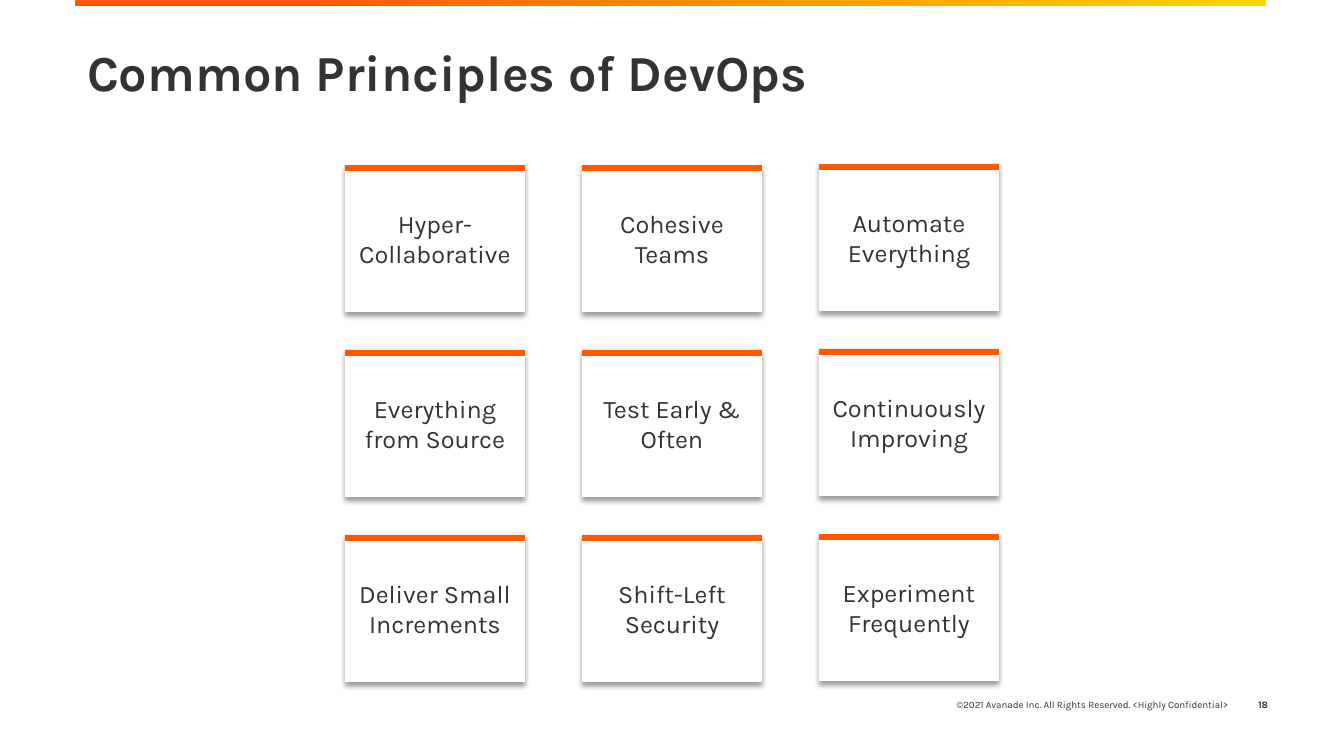
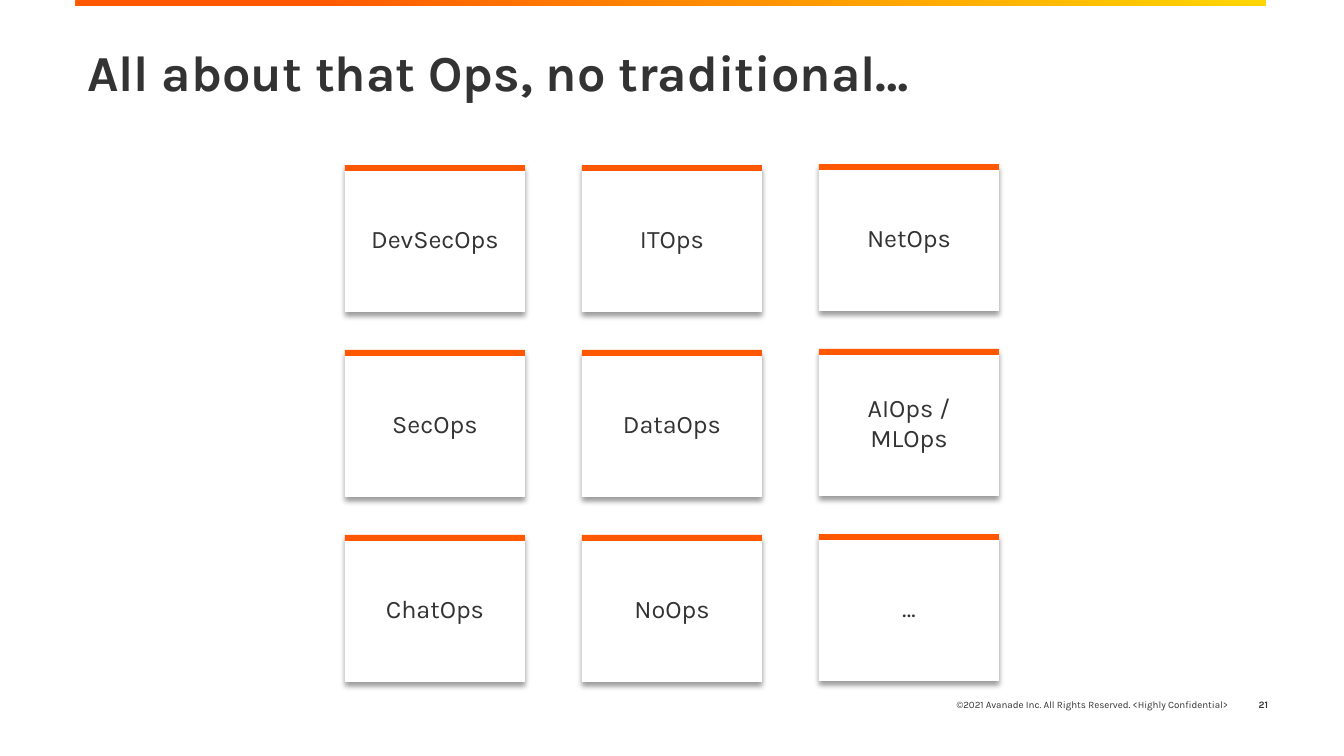
from itertools import product

from lxml import etree
from pptx import Presentation
from pptx.dml.color import RGBColor
from pptx.enum.shapes import MSO_SHAPE
from pptx.enum.text import MSO_ANCHOR, MSO_AUTO_SIZE, PP_ALIGN
from pptx.oxml.ns import qn
from pptx.util import Emu, Pt

PX = 914400 / 100.8
RECT = MSO_SHAPE.RECTANGLE
TOP, MIDDLE = MSO_ANCHOR.TOP, MSO_ANCHOR.MIDDLE
LEFT, CENTER, RIGHT = PP_ALIGN.LEFT, PP_ALIGN.CENTER, PP_ALIGN.RIGHT
NO_FIT = MSO_AUTO_SIZE.NONE
TITLE_ONLY = 5

INK = RGBColor(0x33, 0x33, 0x33)
WHITE = RGBColor(0xFF, 0xFF, 0xFF)
BLACK = RGBColor(0x00, 0x00, 0x00)
ORANGE = RGBColor(0xFF, 0x58, 0x00)
YELLOW = RGBColor(0xFF, 0xD7, 0x00)

BODY = {"name": "Karla", "size": Pt(18), "bold": False}
TITLE = BODY | {"size": Pt(36), "bold": True}
SMALL = BODY | {"size": Pt(7)}
SMALL_BOLD = SMALL | {"bold": True}

COPYRIGHT = "©2021 Avanade Inc. All Rights Reserved. <Highly Confidential>"
CARD_W, CARD_H, BAR_H = 180, 147, 6
COLUMNS = [(345, 165), (582, 165), (819, 164)]
ROW_STEP = 185

SLIDES = [
    ("Common Principles of DevOps", "18", [
        "Hyper-\nCollaborative", "Cohesive Teams", "Automate\nEverything",
        "Everything from Source", "Test Early &\nOften", "Continuously Improving",
        "Deliver Small Increments", "Shift-Left Security", "Experiment Frequently",
    ]),
    ("All about that Ops, no traditional…", "21", [
        "DevSecOps", "ITOps", "NetOps",
        "SecOps", "DataOps", "AIOps /\nMLOps",
        "ChatOps", "NoOps", "…",
    ]),
]


def px(*lengths):
    return [Emu(round(n * PX)) for n in lengths]


def write(tf, text, font, align, anchor=MIDDLE, spacing=None):
    tf.text = text
    for name, value in {"word_wrap": True, "auto_size": NO_FIT,
                        "vertical_anchor": anchor}.items():
        setattr(tf, name, value)
    for p in tf.paragraphs:
        p.alignment = align
        p.line_spacing = spacing
        for name, value in font.items():
            setattr(p.font, name, value)
        p.font.color.rgb = INK


def add_rect(shapes, box, color=None):
    sp = shapes.add_shape(RECT, *px(*box))
    sp.shadow.inherit = False
    sp.line.fill.background()
    if color is not None:
        sp.fill.solid()
        sp.fill.fore_color.rgb = color
    return sp


def add_shadow(sp):
    effects = sp._element.spPr.find(qn("a:effectLst"))
    shadow = etree.SubElement(effects, qn("a:outerShdw"), {
        "blurRad": str(Pt(4)), "dist": str(Pt(3)), "dir": "5400000",
        "algn": "t", "rotWithShape": "0"})
    color = etree.SubElement(shadow, qn("a:srgbClr"), val=str(BLACK))
    etree.SubElement(color, qn("a:alpha"), val="40000")


def add_band(s):
    fill = add_rect(s.shapes, (76, 0, 1190, 6)).fill
    fill.gradient()
    fill.gradient_angle = 250
    for stop, (position, color) in zip(fill.gradient_stops,
                                       [(0, YELLOW), (0.8, ORANGE)]):
        stop.position = position
        stop.color.rgb = color


def add_label(s, box, text, font):
    write(s.shapes.add_textbox(*px(*box)).text_frame, text, font, RIGHT)


def set_title(s, text):
    sp = s.shapes.title
    sp.left, sp.top, sp.width, sp.height = px(77, 43, 1188, 110)
    write(sp.text_frame, text, TITLE, LEFT, TOP, 0.9)


def add_card(s, x, y, text):
    shapes = s.shapes.add_group_shape().shapes
    sp = add_rect(shapes, (x, y, CARD_W, CARD_H), WHITE)
    add_shadow(sp)
    write(sp.text_frame, text, BODY, CENTER)
    add_rect(shapes, (x, y, CARD_W, BAR_H), ORANGE)


def add_slide(prs, title, number, cards):
    s = prs.slides.add_slide(prs.slide_layouts[TITLE_ONLY])
    add_band(s)
    add_label(s, (784, 685, 454, 40), COPYRIGHT, SMALL)
    add_label(s, (1230, 685, 48, 40), number, SMALL_BOLD)
    set_title(s, title)
    for (row, (x, y)), text in zip(product(range(3), COLUMNS), cards):
        add_card(s, x, y + row * ROW_STEP, text)


def main():
    prs = Presentation()
    prs.slide_width, prs.slide_height = px(1344, 756)
    for title, number, cards in SLIDES:
        add_slide(prs, title, number, cards)
    prs.save("out.pptx")


if __name__ == "__main__":
    main()
